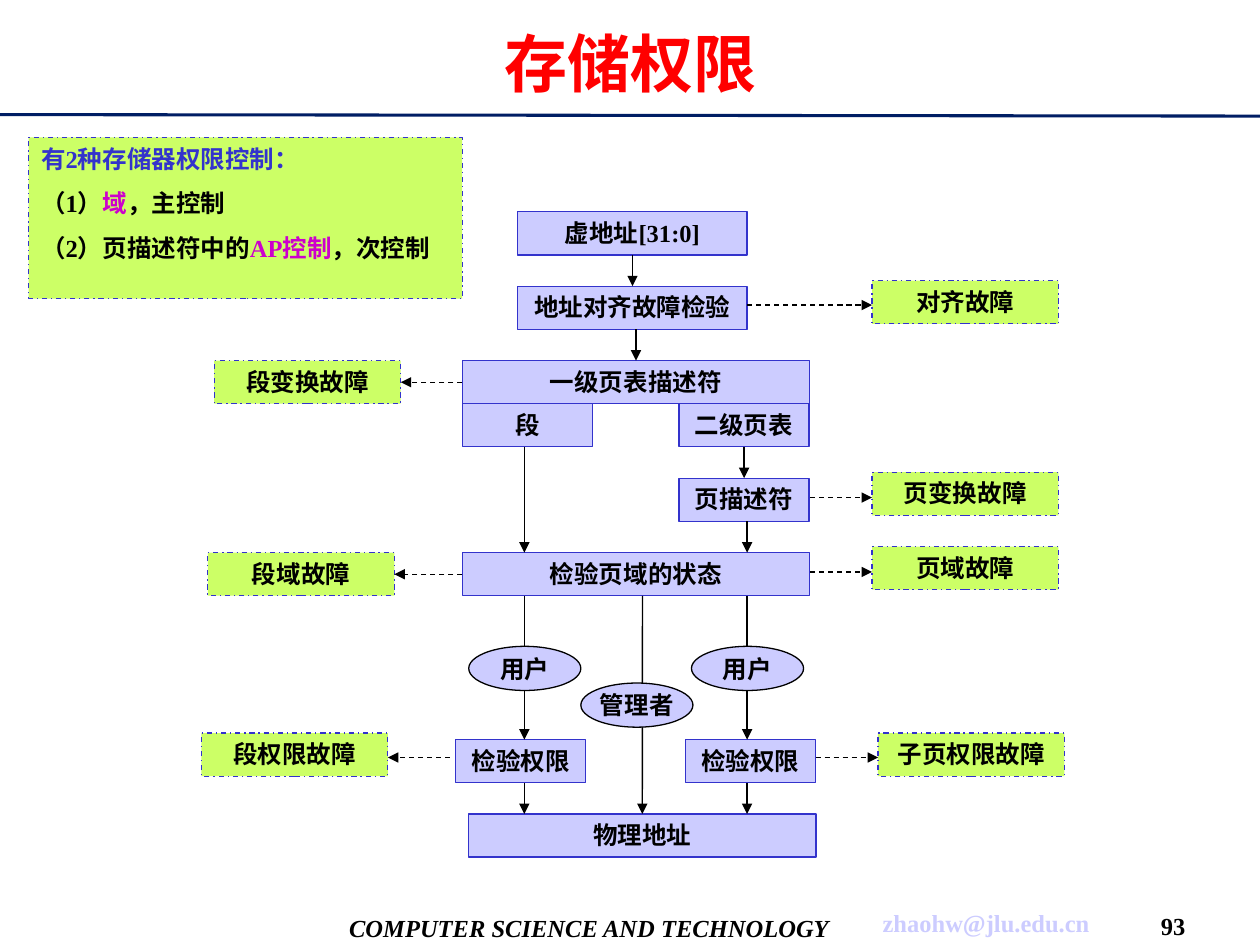
"""Build the memory access permission flowchart slide."""
from dataclasses import dataclass

from lxml import etree
from pptx import Presentation
from pptx.dml.color import RGBColor
from pptx.enum.dml import MSO_LINE
from pptx.enum.shapes import MSO_CONNECTOR, MSO_SHAPE
from pptx.enum.text import MSO_ANCHOR, PP_ALIGN
from pptx.oxml.ns import qn
from pptx.util import Cm, Pt

RECTANGLE, OVAL = MSO_SHAPE.RECTANGLE, MSO_SHAPE.OVAL
STRAIGHT = MSO_CONNECTOR.STRAIGHT
DASH, DASH_DOT = MSO_LINE.DASH, MSO_LINE.DASH_DOT
TOP, MIDDLE = MSO_ANCHOR.TOP, MSO_ANCHOR.MIDDLE
LEFT, CENTER = PP_ALIGN.LEFT, PP_ALIGN.CENTER
TOP_SIDE, LEFT_SIDE, BOTTOM_SIDE, RIGHT_SIDE = range(4)


@dataclass(frozen=True)
class Theme:
    font: str = "Times New Roman"
    title_size: Pt = Pt(36)
    text_size: Pt = Pt(14)
    gap: Pt = Pt(8.8)
    thin: Pt = Pt(0.75)
    thick: Pt = Pt(1.75)
    black: RGBColor = RGBColor(0, 0, 0)
    red: RGBColor = RGBColor(0xFF, 0, 0)
    navy: RGBColor = RGBColor(0, 0x1E, 0x64)
    blue: RGBColor = RGBColor(0x33, 0x33, 0xCC)
    lilac: RGBColor = RGBColor(0xCC, 0xCC, 0xFF)
    lime: RGBColor = RGBColor(0xCC, 0xFF, 0x66)
    magenta: RGBColor = RGBColor(0xCC, 0, 0xCC)


theme = Theme()


def write_text(box, paragraphs, align=CENTER, anchor=MIDDLE, wrap=True, **changes):
    frame = box.text_frame
    frame.word_wrap = wrap
    frame.vertical_anchor = anchor
    text_format = {"name": theme.font, "size": theme.text_size, "bold": True} | changes
    for index, spans in enumerate(paragraphs):
        para = frame.add_paragraph() if index else frame.paragraphs[0]
        para.alignment = align
        if index:
            para.space_before = theme.gap
        for text, color in spans:
            span = para.add_run()
            span.text = text
            span.font.color.rgb = color
            for name, value in text_format.items():
                setattr(span.font, name, value)


def add_panel(kind, place, fill, outline, paragraphs, dash=None, **layout):
    panel = page.shapes.add_shape(kind, *map(Cm, place))
    panel.shadow.inherit = False
    panel.fill.solid()
    panel.fill.fore_color.rgb = fill
    panel.line.color.rgb = outline
    panel.line.width = theme.thin
    if dash:
        panel.line.dash_style = dash
    write_text(panel, paragraphs, **layout)
    return panel


deck = Presentation()
deck.slide_width, deck.slide_height = Cm(25.4), Cm(19.05)
page = deck.slides.add_slide(deck.slide_layouts[5])

title = page.shapes.title
title_place = {"left": 0.81, "top": 0.2, "width": 23.8, "height": 2.11}
for name, value in title_place.items():
    setattr(title, name, Cm(value))
write_text(title, [[("存储权限", theme.red)]], size=theme.title_size)

footers = [
    ("COMPUTER SCIENCE AND TECHNOLOGY", (6.73, 18.16, 10.3, 1.07), theme.black, True),
    ("zhaohw@jlu.edu.cn", (17.58, 18.14, 4.6, 0.91), theme.lilac, False),
    ("93", (23.09, 18.26, 1.12, 0.79), theme.black, False),
]
for text, place, color, italic in footers:
    box = page.shapes.add_textbox(*map(Cm, place))
    for margin in ("margin_left", "margin_right"):
        setattr(box.text_frame, margin, Cm(0))
    write_text(box, [[(text, color)]], wrap=False, italic=italic)

ROW_TOP, ROW_STEP, ROW_HEIGHT = 4.27, 1.5, 0.87
level = [ROW_TOP + ROW_STEP * row for row in range(4)]
domain_top, check_top, physical_top = 11.14, 14.91, 16.41
WIDE, MEDIUM, NARROW, FAULT = 7, 4.62, 2.62, 3.76

steps = [
    ("virtual", "虚地址[31:0]", 10.44, level[0], MEDIUM),
    ("alignment", "地址对齐故障检验", 10.44, level[1], MEDIUM),
    ("first level", "一级页表描述符", 9.32, level[2], WIDE),
    ("section", "段", 9.32, level[2] + ROW_HEIGHT, NARROW),
    ("second level", "二级页表", 13.69, level[2] + ROW_HEIGHT, NARROW),
    ("page", "页描述符", 13.69, level[3] + ROW_HEIGHT, NARROW),
    ("domain", "检验页域的状态", 9.32, domain_top, WIDE),
    ("page check", "检验权限", 13.82, check_top, NARROW),
    ("section check", "检验权限", 9.19, check_top, NARROW),
    ("physical", "物理地址", 9.45, physical_top, WIDE),
]
faults = [
    ("alignment fault", "对齐故障", 17.58, 5.66, FAULT),
    ("subpage permission fault", "子页权限故障", 17.7, 14.78, FAULT),
    ("page domain fault", "页域故障", 17.58, 11.02, FAULT),
    ("page translation fault", "页变换故障", 17.58, 9.52, FAULT),
    ("section translation fault", "段变换故障", 4.32, level[2], FAULT),
    ("section domain fault", "段域故障", 4.19, domain_top, FAULT),
    ("section permission fault", "段权限故障", 4.06, 14.78, FAULT),
]
panels = {}
for group, fill, dash in ((steps, theme.lilac, None), (faults, theme.lime, DASH_DOT)):
    for name, text, left, top, width in group:
        panels[name] = add_panel(
            RECTANGLE, (left, top, width, ROW_HEIGHT), fill, theme.blue,
            [[(text, theme.black)]], dash=dash, anchor=TOP)

SECTION_X, MIDDLE_X, PAGE_X = 10.57, 12.82, 15.06
domain_bottom = domain_top + ROW_HEIGHT
check_bottom = check_top + ROW_HEIGHT
flows = [
    ((12.75, 5.14, 12.75, 5.77), ("virtual", BOTTOM_SIDE), ("alignment", TOP_SIDE)),
    ((PAGE_X, 10.51, PAGE_X, domain_top), None, None),
    ((PAGE_X, 9.01, PAGE_X, 9.64), ("second level", BOTTOM_SIDE), ("page", TOP_SIDE)),
    ((MIDDLE_X, 6.64, MIDDLE_X, level[2]), None, ("first level", TOP_SIDE)),
    ((SECTION_X, 9.01, SECTION_X, domain_top), None, None),
    ((PAGE_X, domain_bottom, PAGE_X, check_top), None, None),
    ((SECTION_X, domain_bottom, SECTION_X, check_top), None, None),
    ((SECTION_X, check_bottom, SECTION_X, physical_top), None, None),
    ((PAGE_X, check_bottom, PAGE_X, physical_top), None, None),
    ((12.95, domain_bottom, 12.95, physical_top), None, ("physical", TOP_SIDE)),
]
fault_flows = [
    ((16.44, 15.27, 17.7, 15.27), None, None),
    ((9.32, 7.7, 8.08, 7.7), ("first level", LEFT_SIDE),
     ("section translation fault", RIGHT_SIDE)),
    ((15.06, 6.15, 17.58, 6.15), None, None),
    ((16.33, 10.03, 17.58, 10.03), None, None),
    ((16.33, 11.53, 17.58, 11.53), None, None),
    ((9.32, 11.57, 7.95, 11.57), ("domain", LEFT_SIDE),
     ("section domain fault", RIGHT_SIDE)),
    ((9.07, 15.27, 7.82, 15.27), None, None),
]
rule = [((0, 2.31, 25.4, 2.34), None, None)]
line_groups = [
    (rule, theme.navy, theme.thick, None, False),
    (flows, theme.black, theme.thin, None, True),
    (fault_flows, theme.black, theme.thin, DASH, True),
]
for group, color, width, dash, arrow in line_groups:
    for ends, start, finish in group:
        connector = page.shapes.add_connector(STRAIGHT, *map(Cm, ends))
        if start:
            connector.begin_connect(panels[start[0]], start[1])
        if finish:
            connector.end_connect(panels[finish[0]], finish[1])
        connector.line.color.rgb = color
        connector.line.width = width
        if dash:
            connector.line.dash_style = dash
        if arrow:
            outline = connector.line._get_or_add_ln()
            etree.SubElement(outline, qn("a:tailEnd"), type="triangle")
        etree.SubElement(connector._element.spPr, qn("a:effectLst"))

modes = [("管理者", 11.71, 13.77), ("用户", 9.45, 13.03), ("用户", 13.94, 13.03)]
for text, left, top in modes:
    add_panel(OVAL, (left, top, 2.26, 0.89), theme.lilac, theme.black,
              [[(text, theme.black)]], wrap=False)

notes = [
    [("有2种存储器权限控制：", theme.blue)],
    [("（1）", theme.black), ("域", theme.magenta), ("，主控制", theme.black)],
    [("（2）页描述符中的", theme.black), ("AP控制", theme.magenta),
     ("，次控制", theme.black)],
]
add_panel(RECTANGLE, (0.58, 2.77, 8.74, 3.25), theme.lime, theme.blue, notes,
          dash=DASH_DOT, align=LEFT, anchor=TOP)

deck.save("out.pptx")
